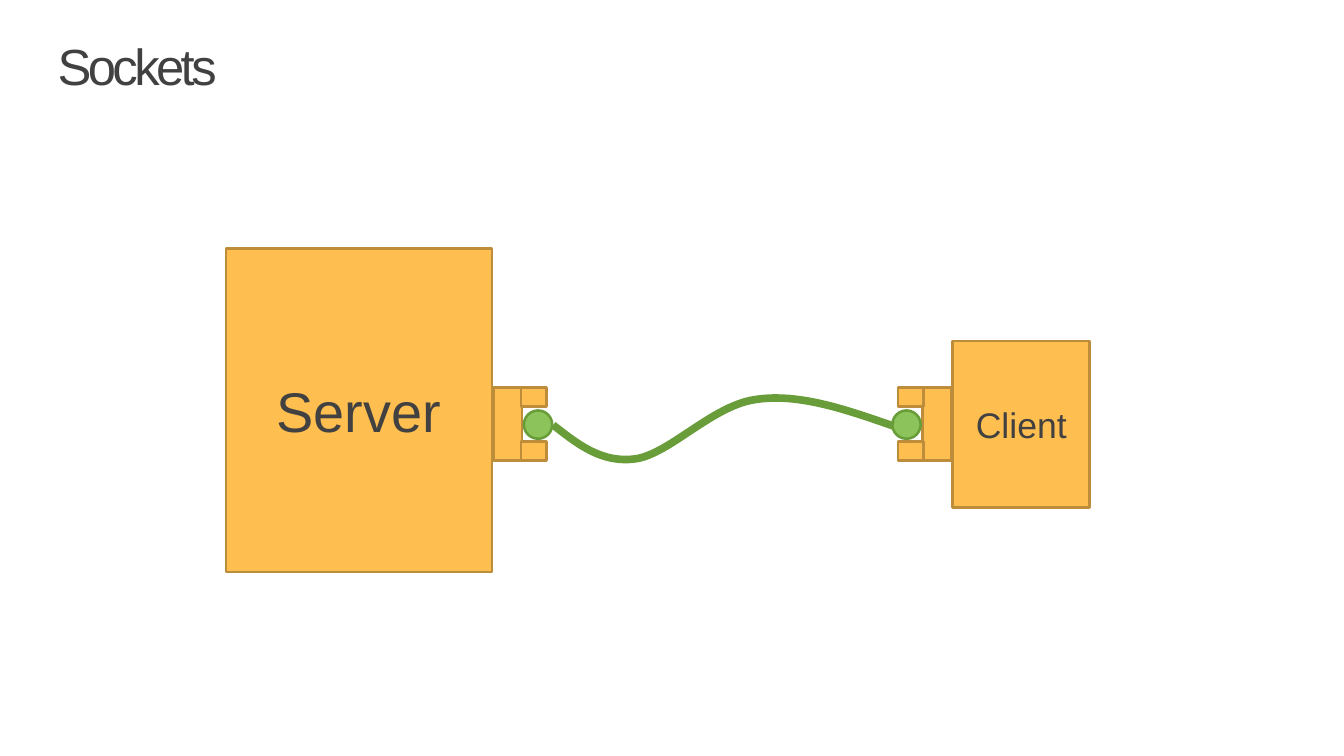
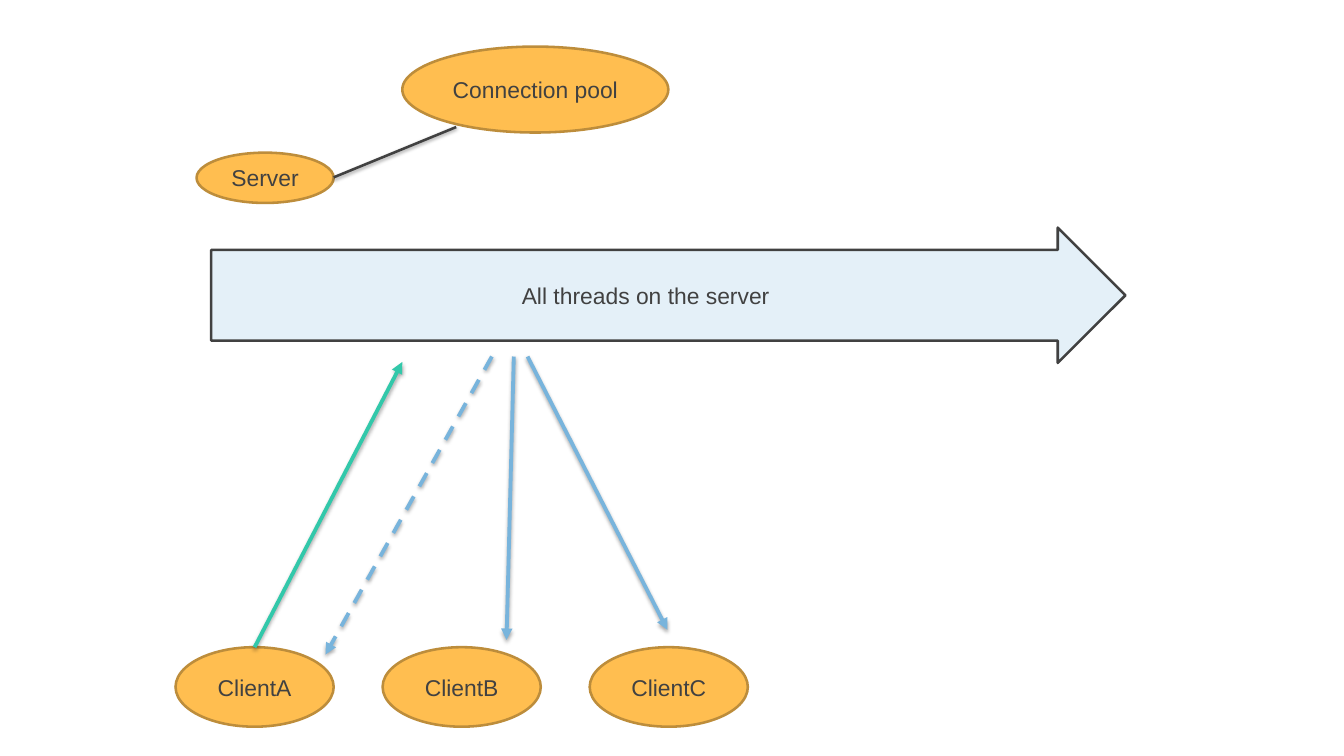
from dataclasses import dataclass
from typing import Optional

from lxml.etree import SubElement
from pptx import Presentation
from pptx.dml.color import RGBColor
from pptx.enum.dml import MSO_LINE_DASH_STYLE as Dash
from pptx.enum.shapes import MSO_CONNECTOR as Connector, MSO_SHAPE as Preset
from pptx.enum.text import MSO_ANCHOR as Anchor, PP_ALIGN as Align
from pptx.oxml.ns import qn
from pptx.util import Emu, Inches, Pt

CELL = Inches(0.1)  # side of one square grid cell
COLUMNS, ROWS = 147, 82.7
TITLE_ONLY, BLANK = 5, 6
FONT = "Arial"
COLORS = {
    "paper": "FFFFFF", "ink": "414141",
    "node": "FFBE50", "node edge": "BD8D3B",
    "plug": "8CC35A", "cable": "699D39",
    "threads": "E4F0F8", "request": "32C8AA", "response": "78B4DC",
}


@dataclass(frozen=True)
class Box:
    column: float
    row: float
    columns: float
    rows: float

    def mirrored(self, axis: float) -> "Box":
        return Box(2 * axis - self.column - self.columns, self.row, self.columns, self.rows)


@dataclass(frozen=True)
class Style:
    fill: str
    line: str


@dataclass(frozen=True)
class Link:
    start: tuple[float, float]
    end: tuple[float, float]
    color: str
    width: float = 3
    dashed: bool = False
    arrow: bool = True
    shadow_alpha: int = 35
    shadow_distance: float = 1.8


NODE = Style("node", "node edge")
PLUG = Style("plug", "cable")
THREADS = Style("threads", "ink")

# Socket on the server's side; the client's is its mirror image.
MIRROR_COLUMN = 79
SOCKET = [Box(54, 42.4, 3.1, 8), Box(57, 42.4, 2.8, 2.1), Box(57, 48.3, 2.8, 2.1)]
PLUG_BOX = Box(57.3, 44.9, 3.1, 3.1)
CABLE_START = (60.5, 46.5)
CABLE_CURVES = [
    ((63.2, 48.6), (65.8, 50.7), (69.5, 50.2)),
    ((73.2, 49.7), (78, 44.3), (82.7, 43.7)),
    ((87.4, 43), (92.5, 44.8), (97.7, 46.6)),
]
CURVE_STEPS = 24

CLIENTS = ["ClientA", "ClientB", "ClientC"]
CLIENT_BOX = Box(19.2, 70.8, 17.3, 8.7)
CLIENT_PITCH = 22.65
REQUEST = Link((27.8, 70.8), (44, 39.6), "request")
RESPONSES = [
    Link((53.8, 39), (35.6, 71.6), "response", dashed=True),
    Link((56.2, 39), (55.4, 70), "response"),
    Link((57.7, 39), (73, 68.9), "response"),
]
POOL_LINK = Link((36.5, 19.4), (49.9, 13.9), "ink", 2, arrow=False,
                 shadow_alpha=38, shadow_distance=1.6)


def cells(count: float) -> Emu:
    return Emu(round(count * CELL))


def color(name: str) -> RGBColor:
    return RGBColor.from_string(COLORS[name])


def place(shape, box: Box) -> None:
    shape.left, shape.top = cells(box.column), cells(box.row)
    shape.width, shape.height = cells(box.columns), cells(box.rows)


def set_font(para, size: float) -> None:
    para.font.name, para.font.size = FONT, Pt(size)
    para.font.color.rgb = color("ink")


def add_page(deck, title: Optional[str] = None):
    page = deck.slides.add_slide(deck.slide_layouts[TITLE_ONLY if title else BLANK])
    page.background.fill.solid()
    page.background.fill.fore_color.rgb = color("paper")
    if title:
        holder = page.shapes.title
        place(holder, Box(6.3, 4.3, COLUMNS - 6.3, 10.2))
        frame = holder.text_frame
        frame.text = title
        frame.vertical_anchor = Anchor.TOP
        frame.margin_left = frame.margin_right = frame.margin_bottom = 0
        frame.margin_top = Inches(0.12)
        para = frame.paragraphs[0]
        para.alignment, para.line_spacing = Align.LEFT, 0.73
        set_font(para, 40)
        para._p.pPr.find(qn("a:defRPr")).set("spc", "-280")
    return page


def add_preset(shapes, preset: Preset, box: Box, style: Style, label: str = "", size: float = 18):
    shape = shapes.add_shape(preset, 0, 0, CELL, CELL)
    place(shape, box)
    shape.shadow.inherit = False
    shape.fill.solid()
    shape.fill.fore_color.rgb = color(style.fill)
    shape.line.color.rgb = color(style.line)
    shape.line.width = Pt(2)
    if label:
        frame = shape.text_frame
        frame.text = label
        frame.vertical_anchor = Anchor.MIDDLE
        para = frame.paragraphs[0]
        para.alignment = Align.CENTER
        set_font(para, size)
    return shape


def add_link(page, link: Link):
    connector = page.shapes.add_connector(
        Connector.STRAIGHT, *map(cells, link.start), *map(cells, link.end))
    connector.line.color.rgb = color(link.color)
    connector.line.width = Pt(link.width)
    if link.dashed:
        connector.line.dash_style = Dash.DASH
    properties = connector._element.spPr
    if link.arrow:
        SubElement(properties.find(qn("a:ln")), qn("a:tailEnd"), type="triangle")
    effects = SubElement(properties, qn("a:effectLst"))
    shadow = SubElement(effects, qn("a:outerShdw"), blurRad=str(Pt(3.1)),
                        dist=str(Pt(link.shadow_distance)), dir=str(90 * 60000), rotWithShape="0")
    tint = SubElement(shadow, qn("a:srgbClr"), val="000000")
    SubElement(tint, qn("a:alpha"), val=str(link.shadow_alpha * 1000))
    return connector


def cable_points() -> list[tuple[int, int]]:
    """Sample the cubic curves of the cable after its start."""
    points = []
    start = CABLE_START
    for first, second, end in CABLE_CURVES:
        for step in range(1, CURVE_STEPS + 1):
            t = step / CURVE_STEPS
            u = 1 - t
            points.append(tuple(
                cells(u**3 * a + 3 * u * u * t * b + 3 * u * t * t * c + t**3 * d)
                for a, b, c, d in zip(start, first, second, end)))
        start = end
    return points


def add_cable(page) -> None:
    builder = page.shapes.build_freeform(*map(cells, CABLE_START))
    builder.add_line_segments(cable_points(), close=False)
    cable = builder.convert_to_shape()
    cable.shadow.inherit = False
    cable.fill.background()
    cable.line.color.rgb = color("cable")
    cable.line.width = Pt(6)


def add_sockets_page(deck) -> None:
    page = add_page(deck, "Sockets")
    add_preset(page.shapes, Preset.RECTANGLE, Box(24.7, 27.2, 29.1, 35.4), NODE, "Server", 44)
    add_preset(page.shapes, Preset.RECTANGLE, Box(104.2, 37.3, 15, 18.2), NODE, "Client", 28)
    for flip in (False, True):
        socket = page.shapes.add_group_shape()
        for part in SOCKET:
            box = part.mirrored(MIRROR_COLUMN) if flip else part
            add_preset(socket.shapes, Preset.RECTANGLE, box, NODE)
    for box in (PLUG_BOX, PLUG_BOX.mirrored(MIRROR_COLUMN)):
        add_preset(page.shapes, Preset.OVAL, box, PLUG)
    add_cable(page)


def add_threads_page(deck) -> None:
    page = add_page(deck)
    clients = [
        add_preset(page.shapes, Preset.OVAL,
                   Box(CLIENT_BOX.column + index * CLIENT_PITCH, CLIENT_BOX.row,
                       CLIENT_BOX.columns, CLIENT_BOX.rows), NODE, name)
        for index, name in enumerate(CLIENTS)
    ]
    add_preset(page.shapes, Preset.OVAL, Box(21.5, 16.7, 15, 5.5), NODE, "Server")
    add_link(page, REQUEST).begin_connect(clients[0], 0)
    for response in RESPONSES:
        add_link(page, response)
    add_preset(page.shapes, Preset.OVAL, Box(44, 5.1, 29.1, 9.4), NODE, "Connection pool")
    add_link(page, POOL_LINK)
    threads = add_preset(page.shapes, Preset.RIGHT_ARROW, Box(23.1, 24.9, 100, 14.8),
                         THREADS, "All threads on the server")
    threads.adjustments[0], threads.adjustments[1] = 0.67, 0.5


def main() -> None:
    deck = Presentation()
    deck.slide_width, deck.slide_height = cells(COLUMNS), cells(ROWS)
    add_sockets_page(deck)
    add_threads_page(deck)
    deck.save("out.pptx")


if __name__ == "__main__":
    main()
